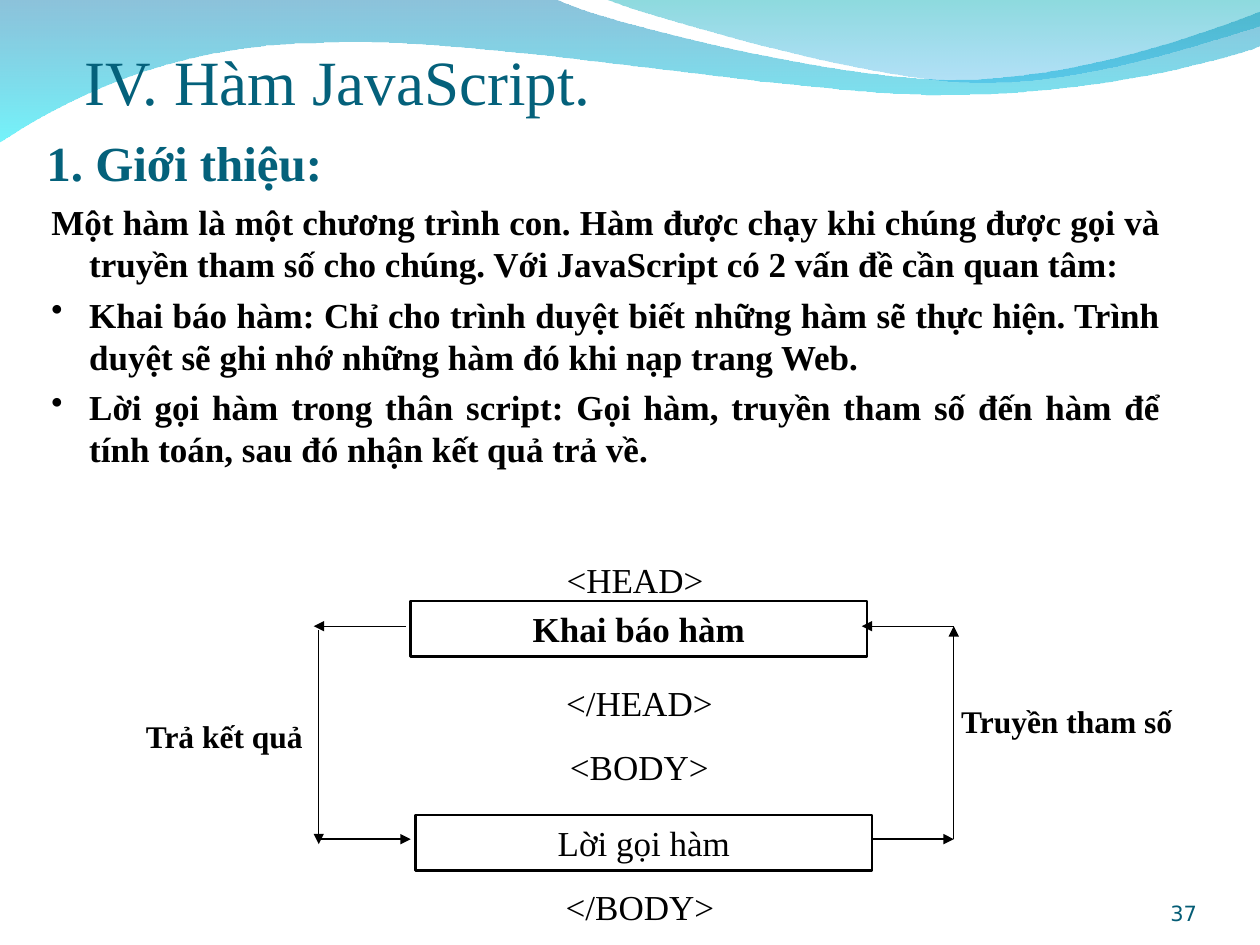
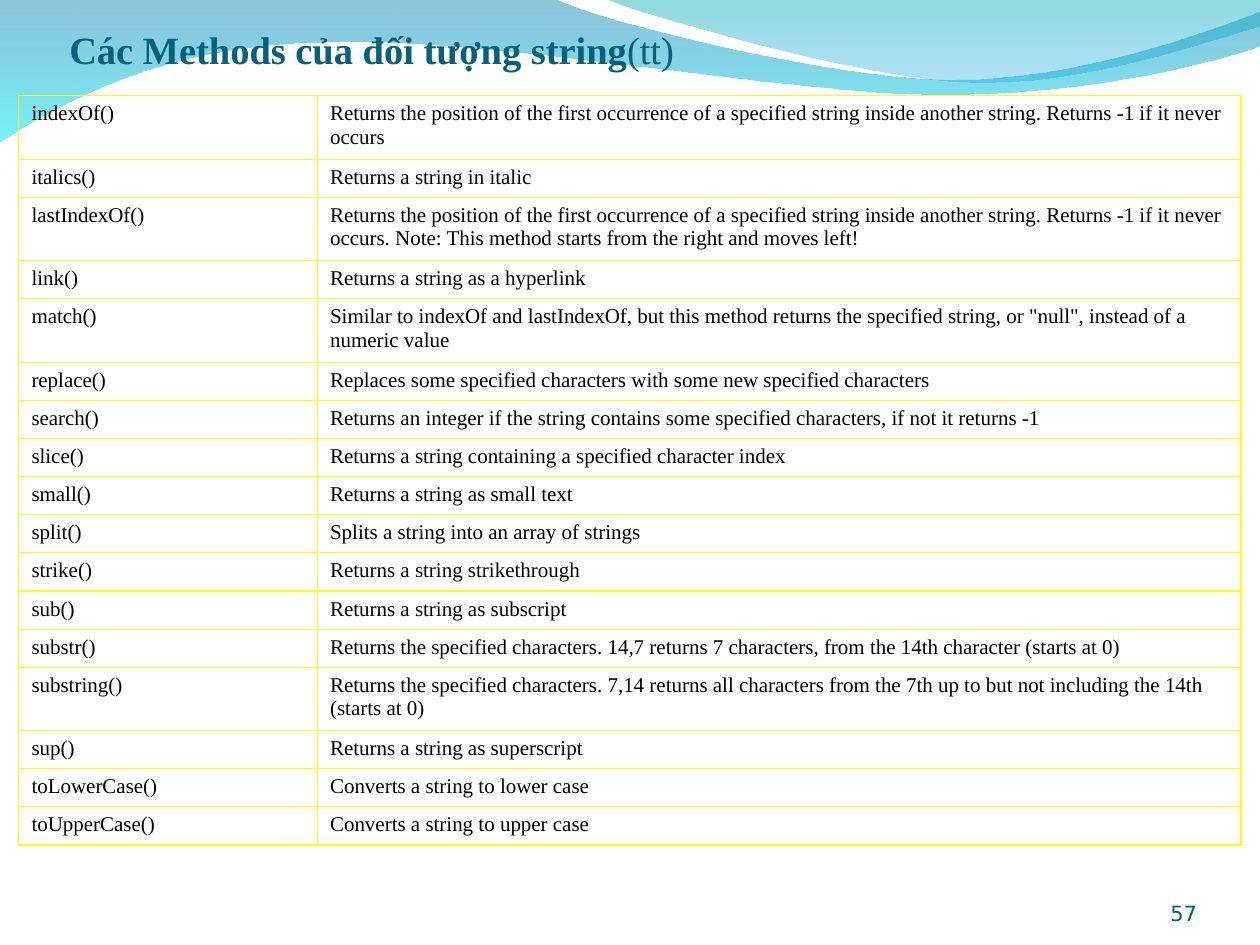
from lxml.etree import SubElement
from pptx import Presentation
from pptx.dml.color import RGBColor
from pptx.enum.shapes import MSO_CONNECTOR, MSO_SHAPE
from pptx.enum.text import MSO_ANCHOR, PP_ALIGN
from pptx.oxml.ns import qn
from pptx.util import Inches, Pt

COLORS = {
    "title": "04617B", "number": "045C75", "ink": "000000", "grid": "FFFF00",
    "deep": "0079AF", "cyan": "00EBF8", "teal": "00ADB6", "sky": "009BE5",
    "rule": "F1F1F1",
}
SERIF = "Times New Roman"
SANS = "DejaVu Sans"
INSET = (0.1, 0.05, 0.1, 0.05)

WAVES = [
    ([("L", 0, -0.01), ("L", 4.4, -0.01), ("C", 4.76, 0.17, 6.64, 0.63, 7.58, 0.63),
      ("C", 8.53, 0.63, 9.58, 0.26, 10, 0.09), ("L", 10.01, 0.36),
      ("C", 9.83, 0.44, 8.7, 0.76, 7.46, 0.75),
      ("C", 6.22, 0.75, 3.82, 0.28, 2.57, 0.34),
      ("C", 1.29, 0.35, 0.46, 0.83, -0.01, 1.13), ("L", 0, -0.01)],
     [("deep", 45), ("cyan", 55)]),
    ([("L", 4.79, -0.01), ("C", 5.09, 0.11, 6.82, 0.62, 7.69, 0.65),
      ("C", 8.56, 0.69, 9.61, 0.32, 10, 0.21), ("L", 10, 0), ("L", 4.79, -0.01)],
     [("teal", 45), ("sky", 30)]),
]

INTRO = [
    "Một hàm là một chương trình con. Hàm được chạy khi chúng được gọi và "
    "truyền tham số cho chúng. Với JavaScript có 2 vấn đề cần quan tâm:",
    "Khai báo hàm: Chỉ cho trình duyệt biết những hàm sẽ thực hiện. Trình "
    "duyệt sẽ ghi nhớ những hàm đó khi nạp trang Web.",
    "Lời gọi hàm trong thân script: Gọi hàm, truyền tham số đến hàm để tính "
    "toán, sau đó nhận kết quả trả về.",
]

METHODS = [
    ("indexOf()", "Returns the position of the first occurrence of a specified string "
     "inside another string. Returns -1 if it never occurs"),
    ("italics()", "Returns a string in italic"),
    ("lastIndexOf()", "Returns the position of the first occurrence of a specified string "
     "inside another string. Returns -1 if it never occurs. Note: This method starts from "
     "the right and moves left!"),
    ("link()", "Returns a string as a hyperlink"),
    ("match()", "Similar to indexOf and lastIndexOf, but this method returns the specified "
     'string, or "null", instead of a numeric value'),
    ("replace()", "Replaces some specified characters with some new specified characters"),
    ("search()", "Returns an integer if the string contains some specified characters, "
     "if not it returns -1"),
    ("slice()", "Returns a string containing a specified character index"),
    ("small()", "Returns a string as small text"),
    ("split()", "Splits a string into an array of strings"),
    ("strike()", "Returns a string strikethrough"),
    ("sub()", "Returns a string as subscript"),
    ("substr()", "Returns the specified characters. 14,7 returns 7 characters, from the "
     "14th character (starts at 0)"),
    ("substring()", "Returns the specified characters. 7,14 returns all characters from "
     "the 7th up to but not including the 14th (starts at 0)"),
    ("sup()", "Returns a string as superscript"),
    ("toLowerCase()", "Converts a string to lower case"),
    ("toUpperCase()", "Converts a string to upper case"),
]


def tint(name):
    """Return the named colour."""
    return RGBColor.from_string(COLORS[name])


def style(font, size, color="ink", bold=False, face=SERIF):
    """Set the look of a font."""
    font.size, font.bold, font.name = Pt(size), bold, face
    font.color.rgb = tint(color)


def fill_text(shape, lines, size, color="ink", bold=False, face=SERIF,
              align=PP_ALIGN.LEFT, anchor=MSO_ANCHOR.TOP, inset=INSET, before=0):
    """Write lines into a shape and return its paragraphs."""
    frame = shape.text_frame
    frame.word_wrap = True
    frame.vertical_anchor = anchor
    (frame.margin_left, frame.margin_top,
     frame.margin_right, frame.margin_bottom) = map(Inches, inset)
    frame.text = "\n".join(lines)
    for para in frame.paragraphs:
        para.alignment, para.space_before = align, Pt(before)
        style(para.font, size, color, bold, face)
    return frame.paragraphs


def add_text(slide, box, lines, size, **look):
    """Add a text box and return its paragraphs."""
    return fill_text(slide.shapes.add_textbox(*map(Inches, box)), lines, size, **look)


def bend(shape, steps):
    """Join the corners of each curve step into one Bezier segment."""
    corners = iter(list(shape.element.iter(qn("a:lnTo"))))
    for kind, *_ in steps[1:]:
        node = next(corners)
        if kind == "C":
            node.tag = qn("a:cubicBezTo")
            for _ in range(2):
                extra = next(corners)
                node.append(extra[0])
                extra.getparent().remove(extra)


def add_wave(slide, steps, stops):
    """Draw one see-through band along the top."""
    first, *rest = [(Inches(x), Inches(y)) for _, *nums in steps
                    for x, y in zip(nums[::2], nums[1::2])]
    pen = slide.shapes.build_freeform(*first)
    pen.add_line_segments(rest, close=True)
    wave = pen.convert_to_shape()
    bend(wave, steps)
    wave.shadow.inherit = False
    wave.line.fill.background()
    wave.fill.gradient()
    wave.fill.gradient_angle = 270
    for stop, (name, _) in zip(wave.fill.gradient_stops, stops):
        stop.color.rgb = tint(name)
    for node, (_, alpha) in zip(wave.element.spPr.iter(qn("a:srgbClr")), stops):
        SubElement(node, qn("a:alpha")).set("val", str(alpha * 1000))


def add_page(deck, number, title, box, size, bold=False):
    """Add a slide with waves, title and number; return it and the title line."""
    slide = deck.slides.add_slide(deck.slide_layouts[6])
    for steps, stops in WAVES:
        add_wave(slide, steps, stops)
    head = add_text(slide, box, [title], size, color="title", bold=bold,
                    anchor=MSO_ANCHOR.BOTTOM, inset=(0, 0.05, 0, 0))
    add_text(slide, (8.67, 6.95, 0.83, 0.4), [number], 12, color="number", face=SANS,
             align=PP_ALIGN.RIGHT, anchor=MSO_ANCHOR.BOTTOM, inset=(0, 0, 0, 0))
    return slide, head[0]


def add_intro(slide, box):
    """Write the lead and its bullet points."""
    paras = add_text(slide, box, INTRO, 20, bold=True, align=PP_ALIGN.JUSTIFY, before=5)
    for i, para in enumerate(paras):
        props = para._p.get_or_add_pPr()
        props.set("marL", str(Inches(0.3)))
        props.set("indent", str(-Inches(0.3)))
        if i:
            SubElement(props, qn("a:buSzPct")).set("val", "95000")
            SubElement(props, qn("a:buChar")).set("char", "•")


def add_block(slide, box):
    """Add a plain rectangle without fill or shadow."""
    block = slide.shapes.add_shape(MSO_SHAPE.RECTANGLE, *map(Inches, box))
    block.shadow.inherit = False
    block.fill.background()
    return block


def add_arrow(slide, start, end):
    """Draw a thin arrow between two points."""
    arrow = slide.shapes.add_connector(MSO_CONNECTOR.STRAIGHT, *map(Inches, start + end))
    arrow.line.color.rgb = tint("ink")
    arrow.line.width = Pt(0.75)
    SubElement(arrow.line._get_or_add_ln(), qn("a:tailEnd")).set("type", "triangle")
    SubElement(arrow.element.spPr, qn("a:effectLst"))


def add_flow(slide, box):
    """Draw how a declared function and its call exchange data."""
    left, top, _, _ = box
    tags = [(2.68, 0, 2.6, 0.44, ["<HEAD>"]),
            (2.61, 0.98, 2.81, 0.94, ["</HEAD>", "<BODY>"]),
            (2.72, 2.6, 2.6, 0.44, ["</BODY>"])]
    for x, y, wide, high, lines in tags:
        add_text(slide, (left + x, top + y, wide, high), lines, 20,
                 align=PP_ALIGN.CENTER, before=12.5)
    for x, y, label, bold in [(2.2, 0.39, "Khai báo hàm", True),
                              (2.24, 2.09, "Lời gọi hàm", False)]:
        block = add_block(slide, (left + x, top + y, 3.62, 0.44))
        block.line.color.rgb = tint("ink")
        block.line.width = Pt(1.5)
        fill_text(block, [label], 20, bold=bold, align=PP_ALIGN.CENTER, before=12.5)
    upper, lower, west, east = top + 0.59, top + 2.28, left + 1.47, left + 6.51
    for start, end in [((left + 5.86, lower), (east, lower)),
                       ((east, lower), (east, upper)),
                       ((east, upper), (left + 5.78, upper)),
                       ((left + 2.16, upper), (west - 0.04, upper)),
                       ((west, lower), (left + 2.2, lower)),
                       ((west, upper + 0.03), (west, lower + 0.04))]:
        add_arrow(slide, start, end)
    for x, y, wide, label in [(6.47, 1.14, 1.95, "Truyền tham số"),
                              (0, 1.26, 1.63, "Trả kết quả")]:
        add_text(slide, (left + x, top + y, wide, 0.4), [label], 18, bold=True, before=11.2)


def add_edges(cell):
    """Give a cell thin borders on all sides."""
    props = cell._tc.get_or_add_tcPr()
    for i, side in enumerate(("lnL", "lnR", "lnT", "lnB")):
        line = props.makeelement(qn("a:" + side), {"w": str(Pt(0.75))})
        SubElement(SubElement(line, qn("a:solidFill")), qn("a:srgbClr")).set(
            "val", COLORS["grid"])
        props.insert(i, line)


def add_methods(slide, box):
    """Build the table of string methods."""
    table = slide.shapes.add_table(len(METHODS), 2, *map(Inches, box)).table
    table.first_row = table.horz_banding = False
    for col, part in zip(table.columns, (2.37, box[2] - 2.37)):
        col.width = Inches(part)
    shares = [5 if len(use) > 100 else 3 for _, use in METHODS]
    for row, texts, share in zip(table.rows, METHODS, shares):
        row.height = Inches(box[3] * share / sum(shares))
        for cell, text in zip(row.cells, texts):
            cell.text = text
            style(cell.text_frame.paragraphs[0].font, 12)
            cell.fill.background()
            add_edges(cell)


def main():
    """Build and save the deck."""
    deck = Presentation()
    deck.slide_width, deck.slide_height = Inches(10), Inches(7.5)

    slide, _ = add_page(deck, "37", "IV. Hàm JavaScript.", (0.67, 0.21, 8.5, 0.73), 36)
    add_intro(slide, (0.31, 1.54, 9, 2.32))
    add_flow(slide, (1.06, 4.38, 8.42, 3.04))
    add_text(slide, (0.27, 1, 2.84, 0.57), ["1. Giới thiệu:"], 28, color="title",
             bold=True, align=PP_ALIGN.JUSTIFY, before=17.5)

    slide, head = add_page(deck, "57", "Các Methods của đối tượng string",
                           (0.55, 0.28, 8.5, 0.29), 22, bold=True)
    tail = head.add_run()
    tail.text = "(tt)"
    tail.font.bold = False
    rule = add_block(slide, (0, 1.36, 10, 0))
    rule.fill.solid()
    rule.fill.fore_color.rgb = tint("rule")
    rule.line.fill.background()
    add_methods(slide, (0.15, 0.76, 9.7, 5.95))

    deck.save("out.pptx")


if __name__ == "__main__":
    main()
